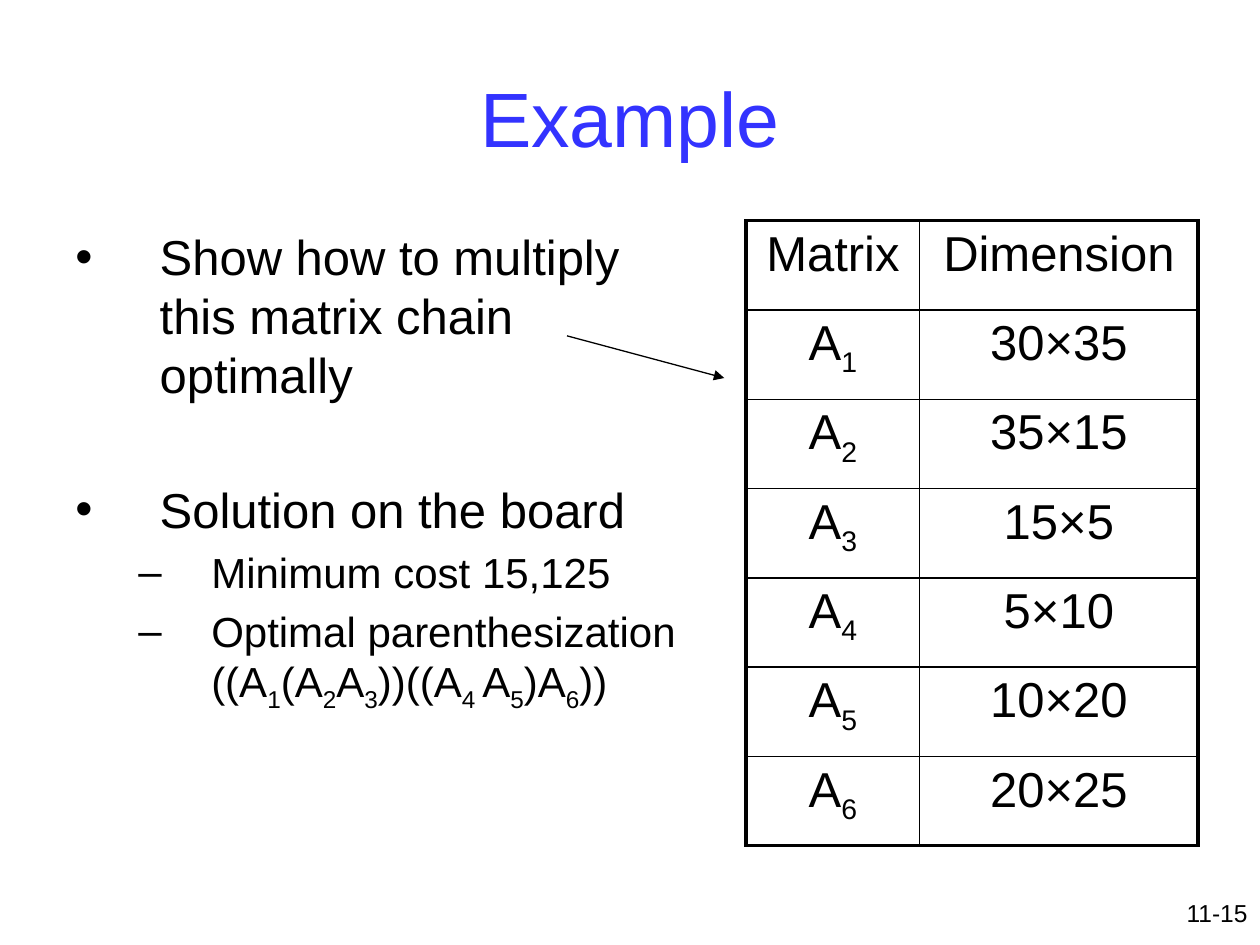
from lxml import etree
from pptx import Presentation
from pptx.dml.color import RGBColor
from pptx.enum.shapes import MSO_CONNECTOR
from pptx.enum.text import MSO_ANCHOR, PP_ALIGN
from pptx.oxml.ns import qn
from pptx.util import Cm, Pt

LEFT, CENTER, RIGHT = PP_ALIGN.LEFT, PP_ALIGN.CENTER, PP_ALIGN.RIGHT
TOP, MIDDLE = MSO_ANCHOR.TOP, MSO_ANCHOR.MIDDLE
STRAIGHT = MSO_CONNECTOR.STRAIGHT
FONT, BLACK, BLUE = "Arial", "000000", "3333FF"
SUBSCRIPT_MARK = "|"

TITLE = "Example"
PAGE_NUMBER = "11-15"
POINTS = [
    (0, 0, "Show how to multiply this matrix chain optimally"),
    (0, 43.4, "Solution on the board"),
    (1, 4.8, "Minimum cost 15,125"),
    (1, 4.8, "Optimal parenthesization ((A|1|(A|2|A|3|))((A|4 |A|5|)A|6|))"),
]
LEVELS = [
    {"bullet": "•", "size": 28, "margin": 1.7, "hanging": 1.7},
    {"bullet": "–", "size": 24, "margin": 2.74, "hanging": 1.47},
]
HEADER = ("Matrix", "Dimension")
DIMENSIONS = ["30×35", "35×15", "15×5", "5×10", "10×20", "20×25"]
COLUMN_WIDTHS = (3.5, 5.61)
ROW_HEIGHT = 1.8
OUTER_BORDER, INNER_BORDER = 2.25, 1


def rgb(value):
    """Return the colour for a hex string."""
    return RGBColor.from_string(value)


def write(paragraph, text, size, align=LEFT, color=BLACK):
    """Fill a paragraph, lowering every second part between marks."""
    paragraph.alignment = align
    paragraph.font.name = FONT
    paragraph.font.size = Pt(size)
    paragraph.font.color.rgb = rgb(color)
    for index, part in enumerate(text.split(SUBSCRIPT_MARK)):
        run = paragraph.add_run()
        run.text = part
        if index % 2:
            run.font._element.set("baseline", "-25000")


def add_frame(slide, left, top, width, height, anchor=TOP):
    """Add a wrapping text box and return its text frame."""
    box = slide.shapes.add_textbox(Cm(left), Cm(top), Cm(width), Cm(height))
    box.text_frame.word_wrap = True
    box.text_frame.vertical_anchor = anchor
    return box.text_frame


def set_bullet(paragraph, bullet, margin, hanging):
    """Give a paragraph a black bullet and a hanging indent."""
    properties = paragraph._p.get_or_add_pPr()
    properties.set("marL", str(Cm(margin)))
    properties.set("indent", str(-Cm(hanging)))
    color = etree.SubElement(properties, qn("a:buClr"))
    etree.SubElement(color, qn("a:srgbClr"), val=BLACK)
    etree.SubElement(properties, qn("a:buFont"), typeface=FONT)
    etree.SubElement(properties, qn("a:buChar"), char=bullet)


def add_points(slide):
    """Write the bulleted points on the left."""
    frame = add_frame(slide, 1.27, 4.45, 13.13, 12.57)
    for index, (depth, gap, text) in enumerate(POINTS):
        level = LEVELS[depth]
        point = frame.paragraphs[0] if index == 0 else frame.add_paragraph()
        point.level = depth
        point.space_before = Pt(gap)
        set_bullet(point, level["bullet"], level["margin"], level["hanging"])
        write(point, text, level["size"])


def set_borders(cell, widths):
    """Draw the four cell borders with the given widths in points."""
    properties = cell._tc.get_or_add_tcPr()
    for index, (side, width) in enumerate(zip("LRTB", widths)):
        border = etree.Element(qn(f"a:ln{side}"), w=str(Pt(width)))
        fill = etree.SubElement(border, qn("a:solidFill"))
        etree.SubElement(fill, qn("a:srgbClr"), val=BLACK)
        properties.insert(index, border)


def add_matrix_table(slide):
    """Build the table of matrices and their dimensions."""
    rows = [HEADER] + [(f"A|{n}", size) for n, size in enumerate(DIMENSIONS, 1)]
    last_row, last_column = len(rows) - 1, len(HEADER) - 1
    table = slide.shapes.add_table(
        len(rows), len(HEADER), Cm(15.04), Cm(4.45),
        Cm(sum(COLUMN_WIDTHS)), Cm(ROW_HEIGHT * len(rows))).table
    table.first_row = table.horz_banding = False
    for column, width in zip(table.columns, COLUMN_WIDTHS):
        column.width = Cm(width)
    for r, row in enumerate(rows):
        table.rows[r].height = Cm(ROW_HEIGHT)
        for c, text in enumerate(row):
            cell = table.cell(r, c)
            cell.fill.background()
            write(cell.text_frame.paragraphs[0], text, 28, CENTER)
            edges = (c == 0, c == last_column, r == 0, r == last_row)
            set_borders(cell, [OUTER_BORDER if edge else INNER_BORDER for edge in edges])


def add_arrow(slide):
    """Point from the first bullet to the table."""
    arrow = slide.shapes.add_connector(STRAIGHT, Cm(11.43), Cm(6.77), Cm(14.6), Cm(7.62))
    arrow.line.color.rgb = rgb(BLACK)
    arrow.line.width = Pt(0.75)
    etree.SubElement(arrow.line._get_or_add_ln(), qn("a:tailEnd"), type="triangle")
    etree.SubElement(arrow._element.spPr, qn("a:effectLst"))


def main():
    """Build and save the slide."""
    presentation = Presentation()
    presentation.slide_width, presentation.slide_height = Cm(25.4), Cm(19.05)
    slide = presentation.slides.add_slide(presentation.slide_layouts[6])
    page = add_frame(slide, 19.48, 17.98, 5.92, 1.07)
    write(page.paragraphs[0], PAGE_NUMBER, 14, RIGHT)
    title = add_frame(slide, 1.27, 0.76, 22.86, 3.18, MIDDLE)
    write(title.paragraphs[0], TITLE, 44, CENTER, BLUE)
    add_points(slide)
    add_matrix_table(slide)
    add_arrow(slide)
    presentation.save("out.pptx")


if __name__ == "__main__":
    main()
